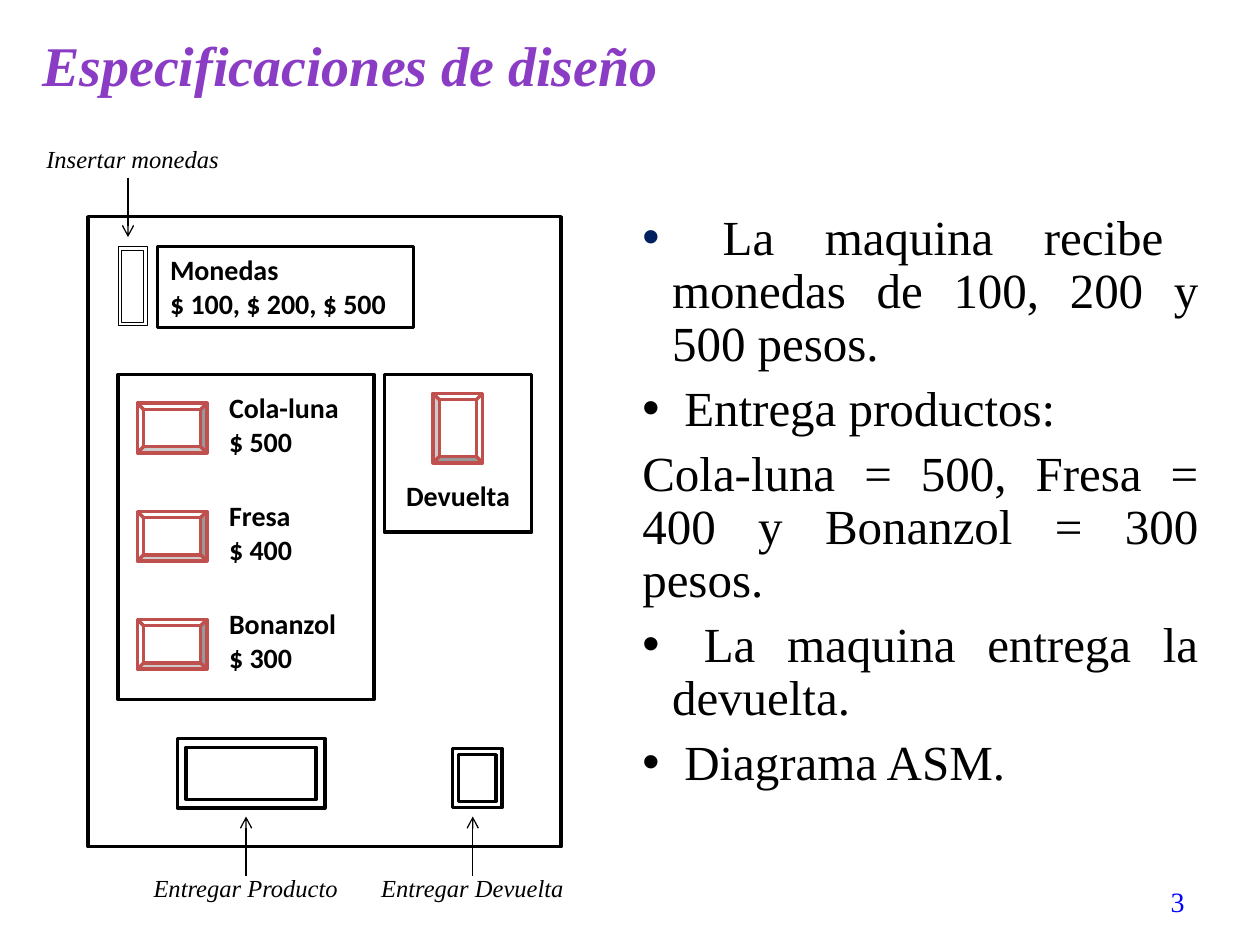
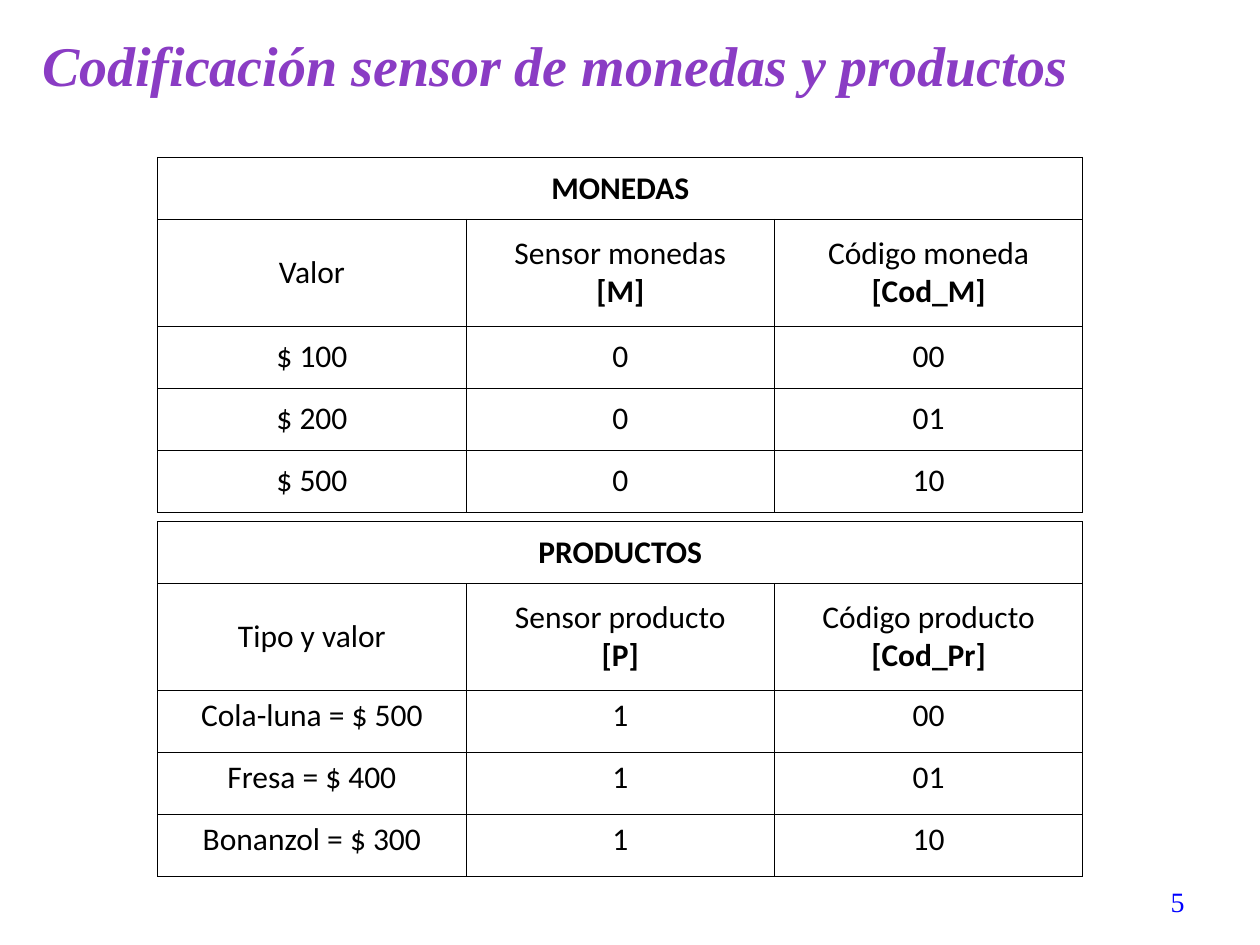
from lxml import etree
from pptx import Presentation
from pptx.dml.color import RGBColor
from pptx.enum.shapes import MSO_CONNECTOR, MSO_SHAPE
from pptx.enum.text import MSO_ANCHOR, PP_ALIGN
from pptx.oxml.ns import qn
from pptx.util import Cm, Pt

RECT, BEVEL, FRAME = MSO_SHAPE.RECTANGLE, MSO_SHAPE.BEVEL, MSO_SHAPE.FRAME
STRAIGHT = MSO_CONNECTOR.STRAIGHT
LEFT, CENTER, RIGHT, JUSTIFY = PP_ALIGN.LEFT, PP_ALIGN.CENTER, PP_ALIGN.RIGHT, PP_ALIGN.JUSTIFY
TOP, MIDDLE = MSO_ANCHOR.TOP, MSO_ANCHOR.MIDDLE

BLACK, WHITE, RED, NAVY = "000000", "FFFFFF", "C0504D", "002060"
SERIF, SANS = "Times New Roman", "Calibri"
TITLE = {"name": SERIF, "size": Pt(32), "bold": True, "italic": True, "color": "8A3CC4"}
NUMBER = {"name": SERIF, "size": Pt(16), "color": "0000FF"}
BODY = {"name": SERIF, "size": Pt(28), "color": BLACK}
PANEL_TEXT = {"name": SANS, "size": Pt(16), "bold": True, "color": BLACK}
CALLOUT = {"name": SERIF, "size": Pt(14), "italic": True, "color": BLACK}
CELL = {"name": SANS, "size": Pt(18), "color": BLACK}

PRODUCTS = [("Cola-luna", "$ 500"), ("Fresa", "$ 400"), ("Bonanzol", "$ 300")]
COINS = ["$ 100", "$ 200", "$ 500"]
CODES = ["00", "01", "10"]
POINTS = [
    (" La maquina recibe\t\vmonedas de 100, 200 y 500 pesos.", NAVY),
    (" Entrega productos:", BLACK),
    ("Cola-luna = 500, Fresa = 400 y Bonanzol = 300 pesos.", None),
    (" La maquina entrega la devuelta.", BLACK),
    (" Diagrama ASM.", BLACK),
]


def rgb(value):
    """Turn a hex string into a colour."""
    return RGBColor.from_string(value)


def cm(values):
    """Turn plain numbers into centimetre lengths."""
    return [Cm(value) for value in values]


def set_font(font, style):
    """Apply a dict of format values to a font."""
    for name, value in style.items():
        if name == "color":
            font.color.rgb = rgb(value)
        else:
            setattr(font, name, value)


def write(frame, lines, style, align=LEFT, anchor=TOP):
    """Fill a text frame with one paragraph per line."""
    frame.word_wrap = True
    frame.vertical_anchor = anchor
    for index, line in enumerate(lines):
        para = frame.paragraphs[0] if index == 0 else frame.add_paragraph()
        para.alignment = align
        para.text = line
        for span in para.runs:
            set_font(span.font, style)


def add_text(page, box, lines, style, align=LEFT, anchor=TOP):
    """Place a text box and return its frame."""
    frame = page.shapes.add_textbox(*cm(box)).text_frame
    write(frame, lines, style, align, anchor)
    return frame


def add_part(page, kind, box, line=BLACK, width=2):
    """Place a white outlined shape."""
    part = page.shapes.add_shape(kind, *cm(box))
    part.shadow.inherit = False
    part.fill.solid()
    part.fill.fore_color.rgb = rgb(WHITE)
    part.line.color.rgb = rgb(line)
    part.line.width = Pt(width)
    if kind != RECT:
        part.adjustments[0] = 0.125
    return part


def add_arrow(page, x, start, end):
    """Draw a thin vertical arrow from start to end."""
    arrow = page.shapes.add_connector(STRAIGHT, *cm((x, start, x, end)))
    arrow.line.color.rgb = rgb(BLACK)
    arrow.line.width = Pt(0.75)
    etree.SubElement(arrow.line._get_or_add_ln(), qn("a:tailEnd"), type="arrow")
    etree.SubElement(arrow._element.spPr, qn("a:effectLst"))


def add_page(deck, title, number):
    """Start a page with its title and page number."""
    page = deck.slides.add_slide(deck.slide_layouts[6])
    add_text(page, (0.6, 0.41, 24, 1.78), [title], TITLE, anchor=MIDDLE)
    add_text(page, (18.21, 17.65, 5.92, 1.02), [str(number)], NUMBER, RIGHT, MIDDLE)
    return page


def add_machine(page, box):
    """Draw the vending machine and its callouts."""
    left, top, width, height = box

    def at(x, y, *size):
        return (left + x, top + y, *size)

    add_part(page, RECT, box)
    add_part(page, RECT, at(0.6, 3.18, 5.16, 6.55))
    for index, product in enumerate(PRODUCTS):
        offset = index * 2.18
        add_part(page, BEVEL, at(0.99, 3.76 + offset, 1.4, 1), RED)
        add_text(page, at(2.59, 3.38 + offset, 2.97, 1.63), product, PANEL_TEXT)

    add_part(page, FRAME, at(1.8, 10.52, 2.97, 1.4))
    add_part(page, FRAME, at(7.34, 10.72, 1, 1.19))
    add_part(page, FRAME, at(0.6, 0.6, 0.58, 1.59), width=0.25)
    coins = add_part(page, RECT, at(1.4, 0.6, 5.16, 1.63))
    write(coins.text_frame, ["Monedas", ", ".join(COINS)], PANEL_TEXT)

    add_part(page, RECT, at(5.97, 3.18, 2.97, 3.18))
    add_part(page, BEVEL, at(6.75, 3.76, 1.4, 1), RED).rotation = 90
    add_text(page, at(5.97, 5.16, 2.97, 0.94), ["Devuelta"], PANEL_TEXT, CENTER)

    add_arrow(page, left + 0.8, top - 0.79, top + 0.41)
    add_text(page, at(-1.19, -1.6, 4.17, 0.86), ["Insertar monedas"], CALLOUT, CENTER)
    for x, label in ((3.18, "Entregar Producto"), (7.75, "Entregar Devuelta")):
        add_arrow(page, left + x, top + height + 0.58, top + height - 0.61)
        add_text(page, at(x - 2.38, height + 0.41, 4.75, 0.86), [label], CALLOUT, CENTER)


def add_points(page, box):
    """Write the justified list of requirements."""
    frame = add_text(page, box, [text for text, _ in POINTS], BODY, JUSTIFY)
    for index, (para, (_, bullet)) in enumerate(zip(frame.paragraphs, POINTS)):
        para.line_spacing = 0.9
        if index:
            para.space_before = Pt(7)
        if bullet:
            props = para._p.get_or_add_pPr()
            props.set("marL", str(Cm(0.6)))
            props.set("indent", str(Cm(-0.6)))
            color = etree.SubElement(props, qn("a:buClr"))
            etree.SubElement(color, qn("a:srgbClr"), val=bullet)
            etree.SubElement(props, qn("a:buFont"), typeface="Arial")
            etree.SubElement(props, qn("a:buChar"), char="•")


def add_borders(cell):
    """Give a cell thin black borders."""
    props = cell._tc.get_or_add_tcPr()
    for index, side in enumerate(("lnL", "lnR", "lnT", "lnB")):
        line = etree.Element(qn(f"a:{side}"), w=str(Pt(0.45)))
        fill = etree.SubElement(line, qn("a:solidFill"))
        etree.SubElement(fill, qn("a:srgbClr"), val=BLACK)
        props.insert(index, line)


def add_code_table(page, box, title, headers, rows, anchor):
    """Build a code table with a merged title row."""
    cells = [(title, "", ""), headers, *rows]
    table = page.shapes.add_table(len(cells), len(headers), *cm(box)).table
    table.first_row = table.horz_banding = False
    for column in table.columns:
        column.width = Cm(box[2] / len(headers))
    for r, texts in enumerate(cells):
        table.rows[r].height = Cm(2.15 if r == 1 else 1.25)
        for c, text in enumerate(texts):
            cell = table.cell(r, c)
            cell.fill.solid()
            cell.fill.fore_color.rgb = rgb(WHITE)
            add_borders(cell)
            write(cell.text_frame, text.split("\n"), CELL, CENTER)
            cell.vertical_anchor = anchor if r > 1 else MIDDLE
            for para in cell.text_frame.paragraphs:
                for span in para.runs:
                    span.font.bold = r == 0 or span.text.startswith("[")
    table.cell(0, 0).merge(table.cell(0, len(headers) - 1))


def main():
    """Build both pages and save the deck."""
    deck = Presentation()
    deck.slide_width, deck.slide_height = Cm(25.4), Cm(19.05)

    page = add_page(deck, "Especificaciones de diseño", 3)
    add_machine(page, (1.78, 4.37, 9.53, 12.7))
    add_points(page, (12.7, 4.17, 11.71, 12.5))

    page = add_page(deck, "Codificación sensor de monedas y productos", 5)
    add_code_table(
        page, (3.18, 3.17, 18.65, 7.15), "MONEDAS",
        ("Valor", "Sensor monedas\n[M]", "Código moneda\n[Cod_M]"),
        [(coin, "0", code) for coin, code in zip(COINS, CODES)], MIDDLE)
    add_code_table(
        page, (3.18, 10.51, 18.65, 7.15), "PRODUCTOS",
        ("Tipo y valor", "Sensor producto\n[P]", "Código producto\n[Cod_Pr]"),
        [(" = ".join(product), "1", code) for product, code in zip(PRODUCTS, CODES)], TOP)

    deck.save("out.pptx")


if __name__ == "__main__":
    main()
